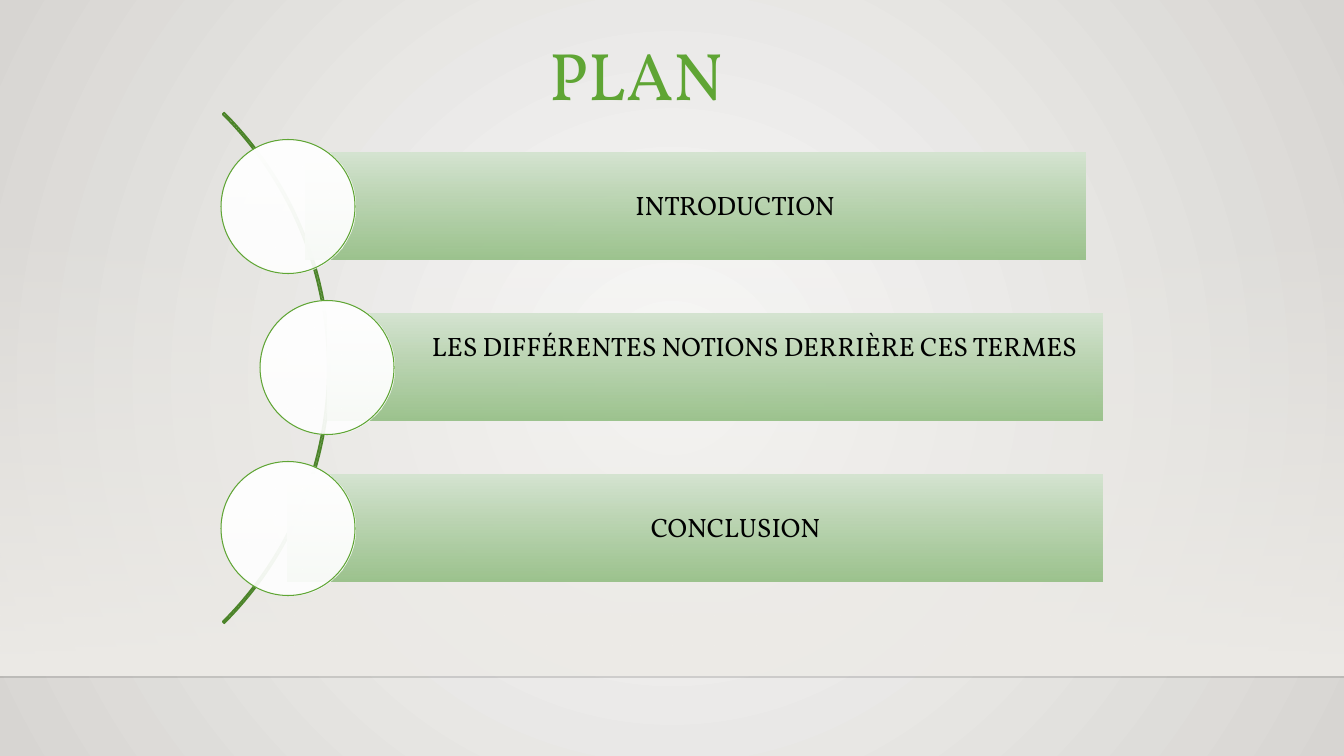
"""Builds a plan slide: three green bars with discs strung along an arc."""
from lxml.etree import SubElement
from pptx import Presentation
from pptx.dml.color import RGBColor
from pptx.enum.shapes import MSO_CONNECTOR as Connector, MSO_SHAPE as Shape
from pptx.enum.text import MSO_ANCHOR as Anchor, PP_ALIGN as Align
from pptx.oxml.ns import qn
from pptx.util import Pt

SCALE = 12192000 / 1344
WIDTH, HEIGHT = 1344, 756
FONT = "Vollkorn"
GREEN = "5FA534"
DISC, BAR_HEIGHT, PITCH = 134, 107, 161
ENTRIES = [
    ("INTRODUCTION", 288, 305, 1085, 5),
    ("LES DIFFÉRENTES NOTIONS DERRIÈRE CES TERMES", 327, 327, 1102, 45),
    ("CONCLUSION", 288, 288, 1103, 5),
]


def px(length):
    """Turn pixels into EMU."""
    return round(length * SCALE)


def paint(color, value, alpha=100):
    """Set a hex colour and, if given, its opacity in percent."""
    color.rgb = RGBColor.from_string(value)
    if alpha < 100:
        for node in color._xFill.iter(qn("a:srgbClr")) if hasattr(color, "_xFill") else ():
            SubElement(node, qn("a:alpha")).set("val", str(alpha * 1000))


def fade(fill, *stops):
    """Fill from top to bottom between two (colour, opacity) stops."""
    fill.gradient()
    fill.gradient_angle = 270
    for stop, (value, alpha) in zip(fill.gradient_stops, stops):
        stop.color.rgb = RGBColor.from_string(value)
        node = stop._gs.find(qn("a:srgbClr"))
        SubElement(node, qn("a:alpha")).set("val", str(alpha * 1000))


def add_shape(page, kind, box, outline=None, weight=0.75):
    """Add a shadowless preset shape in a pixel box."""
    shape = page.shapes.add_shape(kind, *map(px, box))
    shape.shadow.inherit = False
    if outline:
        paint(shape.line.color, outline)
        shape.line.width = Pt(weight)
    else:
        shape.line.fill.background()
    return shape


def write(frame, words, size, color):
    """Write one centred run into a text frame."""
    para = frame.paragraphs[0]
    para.alignment = Align.CENTER
    span = para.add_run()
    span.text = words
    span.font.name = FONT
    span.font.size = Pt(size)
    paint(span.font.color, color)
    return para


def add_backdrop(page, box):
    """Lay the radial background, the floor fade and the horizon line."""
    left, top, width, height = box
    fill = page.background.fill
    fade(fill, ("FAFAF9", 100), ("D7D5D2", 100))
    linear = next(page.background._cSld.iter(qn("a:lin")))
    gradient = linear.getparent()
    gradient.remove(linear)
    radial = SubElement(gradient, qn("a:path"), {"path": "circle"})
    SubElement(radial, qn("a:fillToRect"), dict.fromkeys("ltrb", "50000"))

    floor = add_shape(page, Shape.RECTANGLE, (left, top + 222, width, 454))
    fade(floor.fill, ("EDEBE7", 0), ("EDEBE7", 100))
    horizon = page.shapes.add_connector(
        Connector.STRAIGHT, *map(px, (left, top + 677, left + width, top + 677)))
    horizon.line.width = Pt(1)
    paint(horizon.line.color, "000001")
    properties = horizon._element.spPr
    ink = next(properties.iter(qn("a:srgbClr")))
    SubElement(ink, qn("a:alpha")).set("val", "20000")
    SubElement(properties, qn("a:effectLst"))


def add_title(page, box):
    """Place the heading in the title placeholder."""
    title = page.shapes.title
    title.left, title.top, title.width, title.height = map(px, box)
    title.text_frame.vertical_anchor = Anchor.TOP
    write(title.text_frame, "PLAN", 48, GREEN)


def add_entry(page, box, words, disc_left, bottom_inset):
    """Draw one bar with its words and the disc over its left end."""
    left, top, width, height = box
    bar = add_shape(page, Shape.RECTANGLE, box)
    fade(bar.fill, ("D5E4D1", 100), ("96C087", 92))
    frame = bar.text_frame
    frame.word_wrap = True
    frame.vertical_anchor = Anchor.MIDDLE
    frame.margin_left, frame.margin_right = px(85), px(5)
    frame.margin_top, frame.margin_bottom = px(5), px(bottom_inset)
    write(frame, words, 19, "000000").line_spacing = 0.9

    disc_top = top + (height - DISC) / 2
    disc = add_shape(page, Shape.OVAL, (disc_left, disc_top, DISC, DISC), GREEN)
    fade(disc.fill, ("FFFFFF", 100), ("FFFFFF", 92))


def add_plan(page, box):
    """Draw the arc and the entries strung along it."""
    left, top, width, height = box
    arc = add_shape(page, Shape.BLOCK_ARC, (left - 613, top - 106, 722, 722), "4C842A", 1.25)
    arc.fill.background()
    for index, value in enumerate((189, 27, 0.003)):
        arc.adjustments[index] = value
    for row, (words, center, start, end, inset) in enumerate(ENTRIES):
        bar = (start, top + 40 + row * PITCH, end - start, BAR_HEIGHT)
        add_entry(page, bar, words, center - DISC / 2, inset)


def main():
    """Build and save the deck."""
    deck = Presentation()
    deck.slide_width, deck.slide_height = px(WIDTH), px(HEIGHT)
    page = deck.slides.add_slide(deck.slide_layouts[5])
    add_backdrop(page, (0, 0, WIDTH, HEIGHT))
    add_title(page, (235, 28, 803, 92))
    add_plan(page, (221, 113, 882, 510))
    deck.save("out.pptx")


if __name__ == "__main__":
    main()
